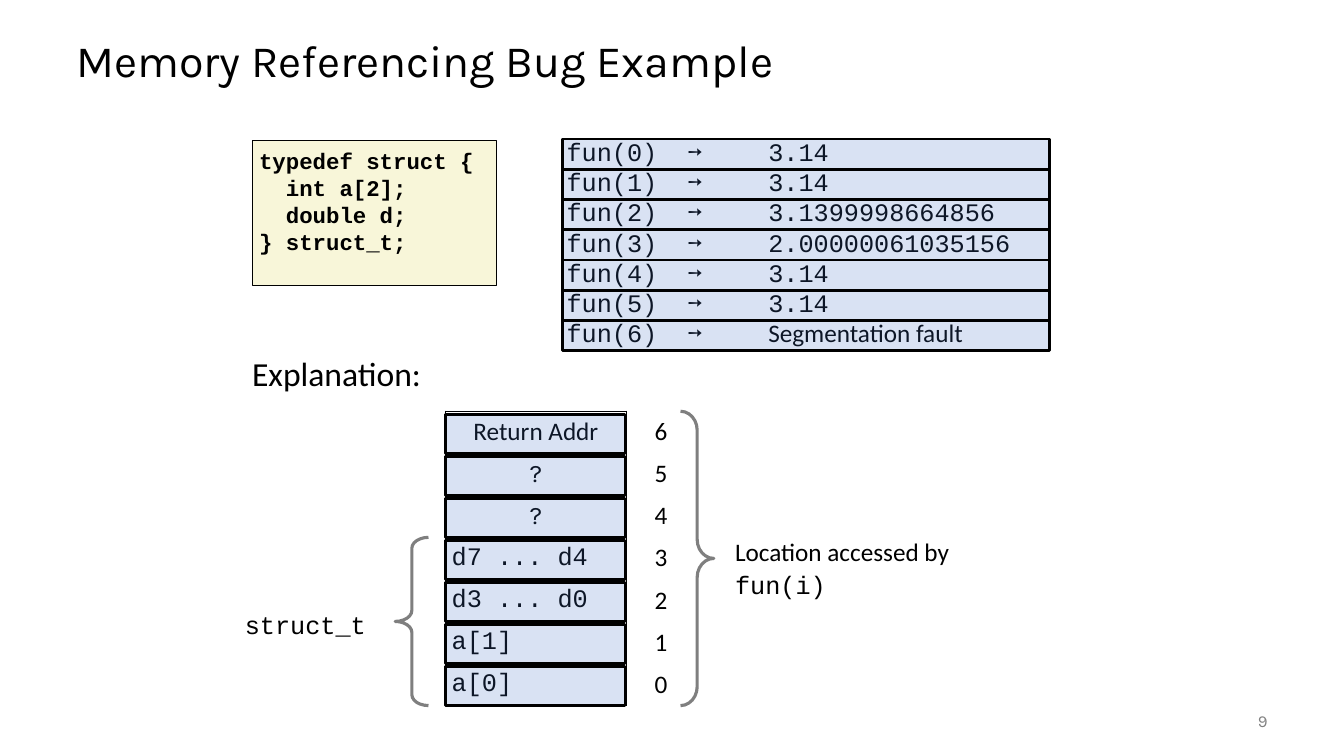
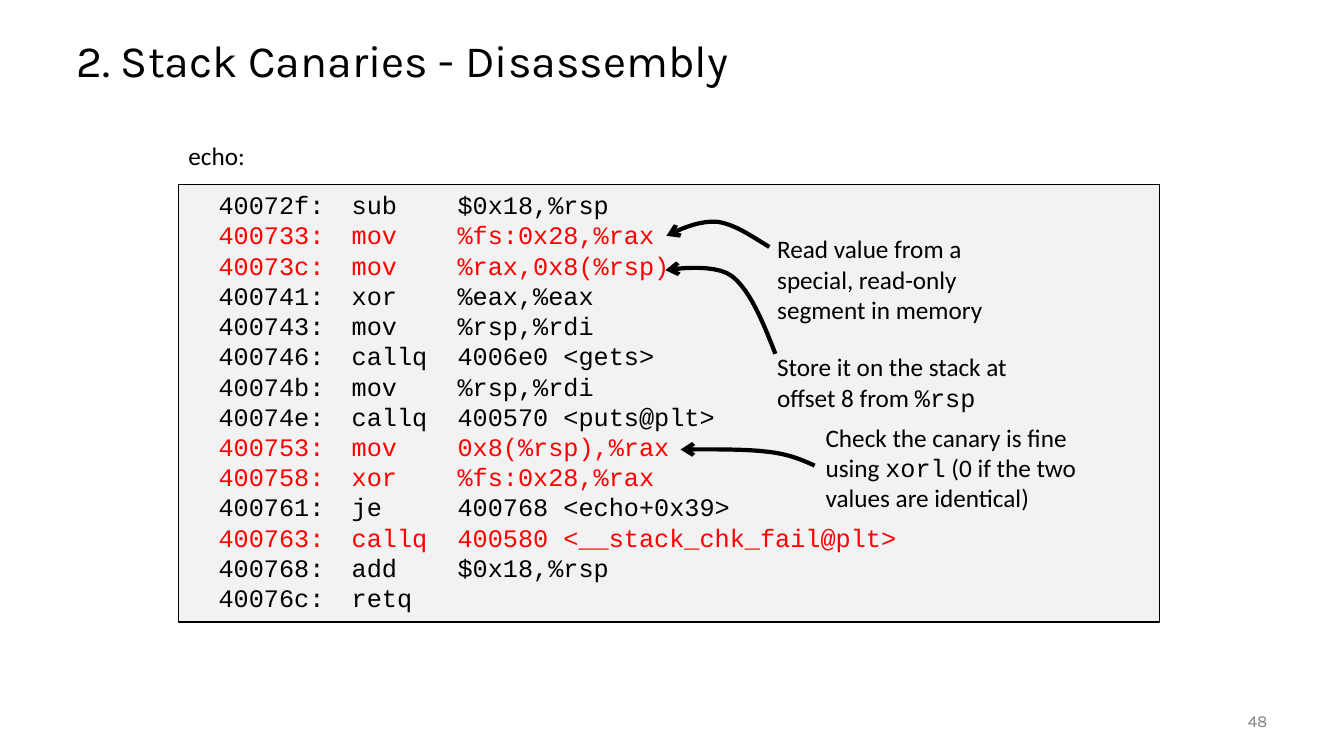
from lxml import etree
from pptx import Presentation
from pptx import util as u
from pptx.dml.color import RGBColor
from pptx.enum import shapes, text
from pptx.oxml.ns import qn

WIDE, HIGH = 13.33, 7.5
BLACK, RED, GREY, MUTE = "000000", "FF0000", "7F7F7F", "808080"
CREAM, PALE, BLUE = "F8F6D9", "F2F2F2", "4472C4"
SANS, MONO, HEAD = "Calibri", "Courier New", "Karla"
LEFT, MID, RIGHT = text.PP_ALIGN.LEFT, text.PP_ALIGN.CENTER, text.PP_ALIGN.RIGHT
PLAIN = "{2D5ABB26-0587-4C30-8999-92F81FD0307C}"

STRUCT = ["typedef struct {", "  int a[2];", "  double d;", "} struct_t;"]
CALLS = [
    ("3.14", MONO), ("3.14", MONO), ("3.1399998664856", MONO),
    ("2.00000061035156", MONO), ("3.14", MONO), ("3.14", MONO),
    ("Segmentation fault", SANS),
]
STACK = [
    ("Return Addr", SANS, MID), ("?", HEAD, MID), ("?", HEAD, MID),
    ("d7 ... d4", MONO, LEFT), ("d3 ... d0", MONO, LEFT),
    ("a[1]", MONO, LEFT), ("a[0]", MONO, LEFT),
]
ECHO = [
    ("40072f", "sub", "$0x18,%rsp", BLACK),
    ("400733", "mov", "%fs:0x28,%rax", RED),
    ("40073c", "mov", "%rax,0x8(%rsp)", RED),
    ("400741", "xor", "%eax,%eax", BLACK),
    ("400743", "mov", "%rsp,%rdi", BLACK),
    ("400746", "callq", "4006e0 <gets>", BLACK),
    ("40074b", "mov", "%rsp,%rdi", BLACK),
    ("40074e", "callq", "400570 <puts@plt>", BLACK),
    ("400753", "mov", "0x8(%rsp),%rax", RED),
    ("400758", "xor", "%fs:0x28,%rax", RED),
    ("400761", "je", "400768 <echo+0x39>", BLACK),
    ("400763", "callq", "400580 <__stack_chk_fail@plt>", RED),
    ("400768", "add", "$0x18,%rsp", BLACK),
    ("40076c", "retq", "", BLACK),
]
# Each note: place, runs, and the curve of its arrow (start, then control points by threes)
NOTES = [
    ((7.61, 2.27, 2.33, 1.01),
     [("Read value from a special, read-only segment in memory", SANS)],
     [(7.63, 2.45), (7.45, 2.34), (7.28, 2.22), (7.11, 2.2),
      (6.94, 2.19), (6.77, 2.26), (6.61, 2.34)]),
    ((7.61, 3.44, 2.52, 0.71),
     [("Store it on the stack at offset 8 from ", SANS), ("%rsp", MONO)],
     [(7.69, 3.51), (7.57, 3.2), (7.44, 2.88), (7.26, 2.74),
      (7.08, 2.6), (6.6, 2.68), (6.6, 2.68)]),
    ((8.09, 4.14, 3.14, 1.01),
     [("Check the canary is fine using ", SANS), ("xorl", MONO),
      (" (0 if the two values are identical)", SANS)],
     [(8.08, 4.62), (7.95, 4.56), (7.81, 4.5), (7.59, 4.48),
      (7.37, 4.45), (6.75, 4.46), (6.75, 4.46)]),
]


def rgb(tone):
    return RGBColor.from_string(tone)


def inch(nums):
    return [u.Inches(n) for n in nums]


def paint(shape, fill=None, line=None, width=1):
    shape.shadow.inherit = False
    if fill:
        shape.fill.solid()
        shape.fill.fore_color.rgb = rgb(fill)
    else:
        shape.fill.background()
    if line:
        shape.line.color.rgb = rgb(line)
        shape.line.width = u.Pt(width)
    else:
        shape.line.fill.background()


def write(para, runs, size=18, tone=BLACK, bold=False, align=LEFT, lead=None, tabs=()):
    """Add runs of (text, font) to a paragraph."""
    if tabs:
        stops = etree.SubElement(para._p.get_or_add_pPr(), qn("a:tabLst"))
        for pos in tabs:
            etree.SubElement(stops, qn("a:tab"), pos=str(u.Inches(pos)), algn="l")
    para.alignment = align
    if lead:
        para.line_spacing = lead
    for words, face in runs:
        run = para.add_run()
        run.text = words
        font = run.font
        font.name, font.size, font.bold = face, u.Pt(size), bold
        font.color.rgb = rgb(tone)


def frame(box, pad=(0.1, 0.05), wrap=True, anchor=text.MSO_ANCHOR.TOP):
    body = box.text_frame
    body.word_wrap, body.vertical_anchor = wrap, anchor
    body.margin_left = body.margin_right = u.Inches(pad[0])
    body.margin_top = body.margin_bottom = u.Inches(pad[1])
    return body


def label(slide, at, runs, pad=(0.1, 0.05), wrap=True, anchor=text.MSO_ANCHOR.TOP, **style):
    body = frame(slide.shapes.add_textbox(*inch(at)), pad, wrap, anchor)
    write(body.paragraphs[0], runs, **style)


def lines(body, rows):
    """Write one paragraph for each (runs, style) row."""
    for i, (runs, style) in enumerate(rows):
        para = body.add_paragraph() if i else body.paragraphs[0]
        write(para, runs, **style)


def panel(slide, at, fill=None, line=None, width=1, kind=shapes.MSO_SHAPE.RECTANGLE):
    box = slide.shapes.add_shape(kind, *inch(at))
    paint(box, fill, line, width)
    return box


def tint(slide, at):
    """Lay a see-through blue bar with a black edge over a row."""
    bar = panel(slide, at, BLUE, BLACK, 2)
    tone = bar._element.spPr.find(".//" + qn("a:srgbClr"))
    etree.SubElement(tone, qn("a:alpha"), val="20000")


def brace(slide, kind, at, bend):
    mark = panel(slide, at, None, GREY, 2.25, kind)
    mark.adjustments[0] = bend


def arrow(slide, knots, steps=12):
    """Draw a chain of cubic curves that ends in an arrowhead."""
    dots = []
    for k in range(0, len(knots) - 1, 3):
        ends = knots[k:k + 4]
        for n in range(1, steps + 1):
            t = n / steps
            share = ((1 - t) ** 3, 3 * t * (1 - t) ** 2, 3 * t * t * (1 - t), t ** 3)
            dots.append(inch(sum(s * p[axis] for s, p in zip(share, ends)) for axis in (0, 1)))
    path = slide.shapes.build_freeform(*inch(knots[0]), scale=1.0)
    path.add_line_segments(dots, close=False)
    curve = path.convert_to_shape()
    paint(curve, None, BLACK, 3)
    edge = curve._element.spPr.find(qn("a:ln"))
    etree.SubElement(edge, qn("a:tailEnd"), type="arrow")


def border(cell, sides):
    props = cell._tc.get_or_add_tcPr()
    for side in sides:
        edge = etree.SubElement(props, qn("a:ln" + side), w=str(u.Pt(1)))
        fill = etree.SubElement(edge, qn("a:solidFill"))
        etree.SubElement(fill, qn("a:srgbClr"), val=BLACK)


def stack(slide, left, top, row):
    """Draw the memory cells with their numbers, counted from the bottom."""
    cols = (1.79, 0.47)
    count = len(STACK)
    grid = slide.shapes.add_table(count, 2, *inch((left, top, sum(cols), row * count))).table
    grid.first_row = grid.horz_banding = False
    grid._tbl.tblPr.find(qn("a:tableStyleId")).text = PLAIN
    for col, width in zip(grid.columns, cols):
        col.width = u.Inches(width)
    for r, (words, face, align) in enumerate(STACK):
        grid.rows[r].height = u.Inches(row)
        pair = [(words, face, align, "LRTB"), (str(count - 1 - r), SANS, RIGHT, "L")]
        for c, (words, face, align, sides) in enumerate(pair):
            cell = grid.cell(r, c)
            cell.margin_left = cell.margin_right = u.Inches(0.06)
            cell.margin_top = cell.margin_bottom = u.Inches(0.05)
            cell.vertical_anchor = text.MSO_ANCHOR.MIDDLE
            border(cell, sides)
            cell.fill.background()
            write(cell.text_frame.paragraphs[0], [(words, face)], align=align)


def start(deck, title, page):
    """Add a slide with its title and page number."""
    slide = deck.slides.add_slide(deck.slide_layouts[6])
    mid = text.MSO_ANCHOR.MIDDLE
    label(slide, (0.66, 0.25, 12, 0.75), [(title, HEAD)], anchor=mid, size=32, lead=0.9)
    label(slide, (11.67, 6.95, 1, 0.4), [(str(page), HEAD)], anchor=mid,
          size=12, tone=MUTE, align=RIGHT)
    return slide


def bug(deck):
    slide = start(deck, "Memory Referencing Bug Example", 9)
    code = panel(slide, (2.5, 1.39, 2.42, 1.44), CREAM, BLACK, 0.5)
    lines(frame(code, (0.07, 0.07)),
          [([(row, MONO)], dict(size=16, bold=True)) for row in STRUCT])

    left, wide = 5.58, 4.83
    calls = slide.shapes.add_textbox(*inch((left, 1.31, wide, 2.41)))
    lines(frame(calls, (0.04, 0.04)),
          [([(f"fun({i})\t➙\t", MONO), (value, face)], dict(tabs=(1.2, 2)))
           for i, (value, face) in enumerate(CALLS)])
    for i in range(len(CALLS)):
        tint(slide, (left, 1.38 + 0.3 * i, wide, 0.3))

    label(slide, (2.5, 3.5, 1.75, 0.4), [("Explanation:", SANS)], (0, 0), False, size=24)
    left, top, high = 4.42, 4.08, 2.92
    row = high / len(STACK)
    stack(slide, left, top, row)
    for i in range(len(STACK)):
        tint(slide, (left, top + 0.03 + row * i, 1.78, 0.39))

    brace(slide, shapes.MSO_SHAPE.RIGHT_BRACE, (6.75, top, 0.33, high), 0.57)
    brace(slide, shapes.MSO_SHAPE.LEFT_BRACE, (3.92, top + 3 * row, 0.33, 4 * row), 0.33)
    label(slide, (7.25, 5.25, 2.32, 0.71),
          [("Location accessed by ", SANS), ("fun(i)", MONO)], (0.04, 0.04), lead=1.1)
    label(slide, (2.33, 6, 1.41, 0.4), [("struct_t", MONO)], wrap=False)


def canary(deck):
    slide = start(deck, "2. Stack Canaries - Disassembly", 48)
    code = panel(slide, (1.77, 1.83, 9.73, 4.34), PALE, BLACK)
    rows = []
    for addr, verb, args, tone in ECHO:
        line = f"  {addr}:\t{verb}" + (f"\t{args}" if args else "")
        rows.append(([(line, MONO)], dict(tone=tone, tabs=(1.62, 2.67))))
    lines(frame(code), rows)
    label(slide, (1.77, 1.34, 0.77, 0.4), [("echo:", SANS)], wrap=False)
    for at, runs, knots in NOTES:
        label(slide, at, runs)
        arrow(slide, knots)


def main():
    deck = Presentation()
    deck.slide_width, deck.slide_height = inch((WIDE, HIGH))
    bug(deck)
    canary(deck)
    deck.save("out.pptx")


if __name__ == "__main__":
    main()
